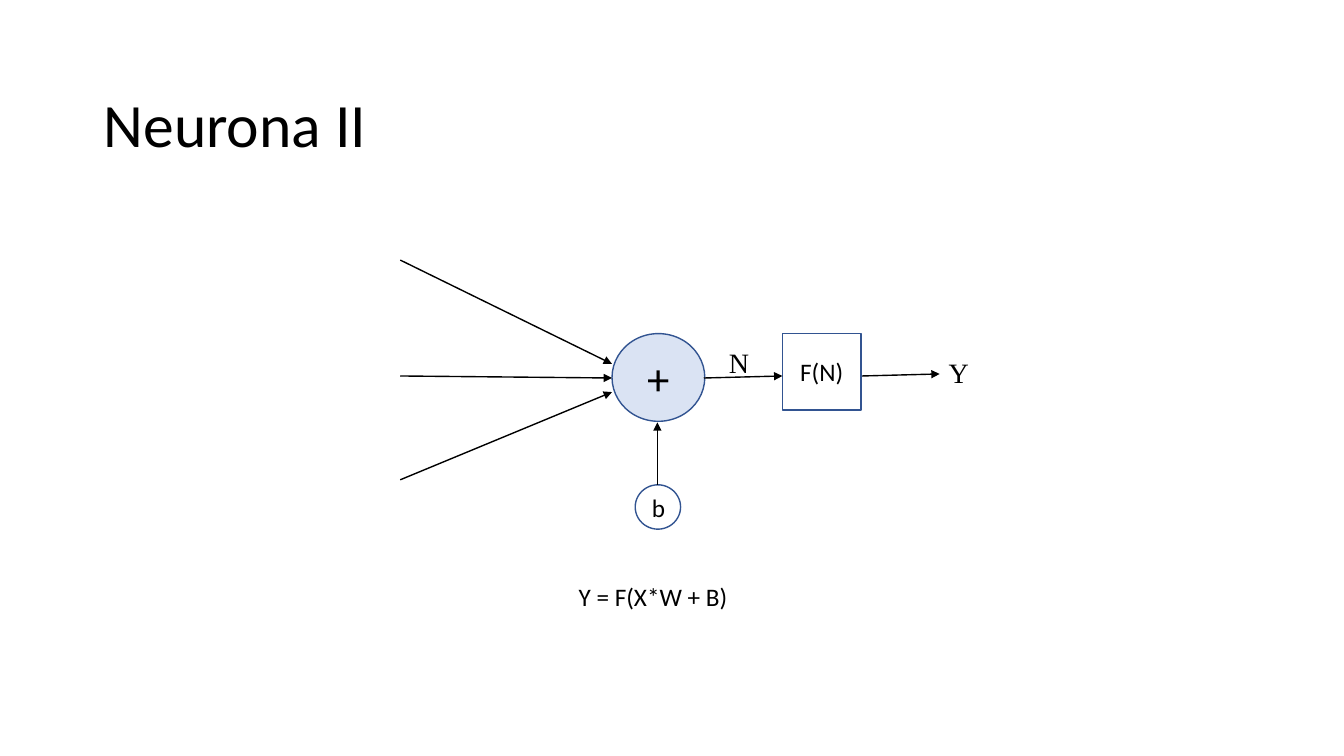
from lxml.etree import SubElement
from pptx import Presentation
from pptx.dml.color import RGBColor
from pptx.enum.shapes import MSO_CONNECTOR, MSO_SHAPE
from pptx.enum.text import MSO_ANCHOR, PP_ALIGN
from pptx.oxml.ns import qn
from pptx.util import Inches, Pt

BLACK, WHITE, BLUE, PALE_BLUE = "000000", "FFFFFF", "325491", "DAE3F3"


def color(hex_string):
    return RGBColor.from_string(hex_string)


def write(shape, text, size, font="Calibri", align=PP_ALIGN.LEFT, anchor=MSO_ANCHOR.TOP):
    frame = shape.text_frame
    frame.word_wrap = True
    frame.vertical_anchor = anchor
    para = frame.paragraphs[0]
    para.text = text
    para.alignment = align
    para.font.name = font
    para.font.size = Pt(size)
    para.font.color.rgb = color(BLACK)
    return para


def add_label(page, box, text, size, **style):
    shape = page.shapes.add_textbox(*map(Inches, box))
    return write(shape, text, size, **style)


def add_node(page, kind, box, text, size, fill=WHITE):
    node = page.shapes.add_shape(kind, *map(Inches, box))
    node.shadow.inherit = False
    node.fill.solid()
    node.fill.fore_color.rgb = color(fill)
    node.line.color.rgb = color(BLUE)
    node.line.width = Pt(1)
    write(node, text, size, align=PP_ALIGN.CENTER, anchor=MSO_ANCHOR.MIDDLE)


def add_arrow(page, start, end):
    arrow = page.shapes.add_connector(MSO_CONNECTOR.STRAIGHT, *map(Inches, start + end))
    arrow.line.color.rgb = color(BLACK)
    arrow.line.width = Pt(1)
    SubElement(arrow.line._get_or_add_ln(), qn("a:tailEnd"), type="triangle")
    SubElement(arrow._element.spPr, qn("a:effectLst"))


def add_title(page, box):
    para = add_label(page, box, "Neurona II", 44, anchor=MSO_ANCHOR.BOTTOM)
    para.line_spacing = 0.9


def add_neuron(page, left, top):
    """Inputs, sum, bias, activation and output, from the tip of the first input."""
    def at(x, y, *size):
        return (left + x, top + y) + size

    add_node(page, MSO_SHAPE.OVAL, at(2.1, 0.73, 0.92, 0.87), "+", 32, PALE_BLUE)
    add_node(page, MSO_SHAPE.OVAL, at(2.33, 2.23, 0.45, 0.44), "b", 18)
    add_node(page, MSO_SHAPE.RECTANGLE, at(3.79, 0.73, 0.78, 0.76), "F(N)", 18)

    for input_y, sum_y in ((0, 1.03), (1.15, 1.17), (2.18, 1.31)):
        add_arrow(page, at(0, input_y), at(2.1, sum_y))
    add_arrow(page, at(2.55, 2.23), at(2.55, 1.61))
    for start_x, end_x, start_y in ((3.01, 3.79, 1.17), (4.58, 5.35, 1.15)):
        add_arrow(page, at(start_x, start_y), at(end_x, start_y - 0.02))

    add_label(page, at(3.16, 0.8, 0.37, 0.44), "N", 20, font="Times New Roman")
    add_label(page, at(5.34, 0.9, 0.66, 0.44), "Y", 20, font="Times New Roman")


def main():
    deck = Presentation()
    deck.slide_width, deck.slide_height = Inches(13.33), Inches(7.5)
    page = deck.slides.add_slide(deck.slide_layouts[6])
    add_title(page, (0.93, 0.33, 11.49, 1.31))
    add_neuron(page, 3.97, 2.58)
    add_label(page, (5.64, 5.72, 1.92, 0.4), "Y = F(X*W + B)", 18)
    deck.save("out.pptx")


if __name__ == "__main__":
    main()
